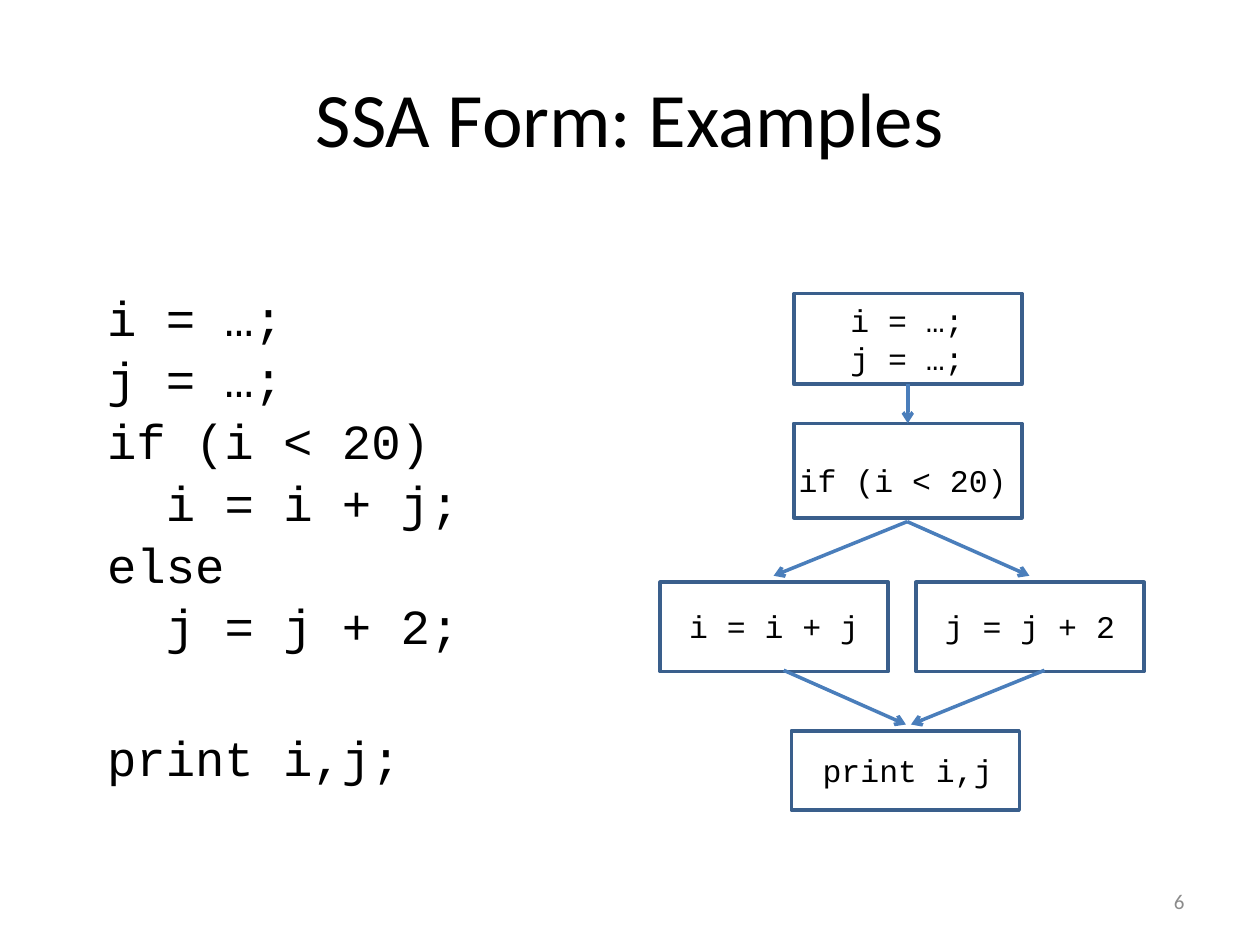
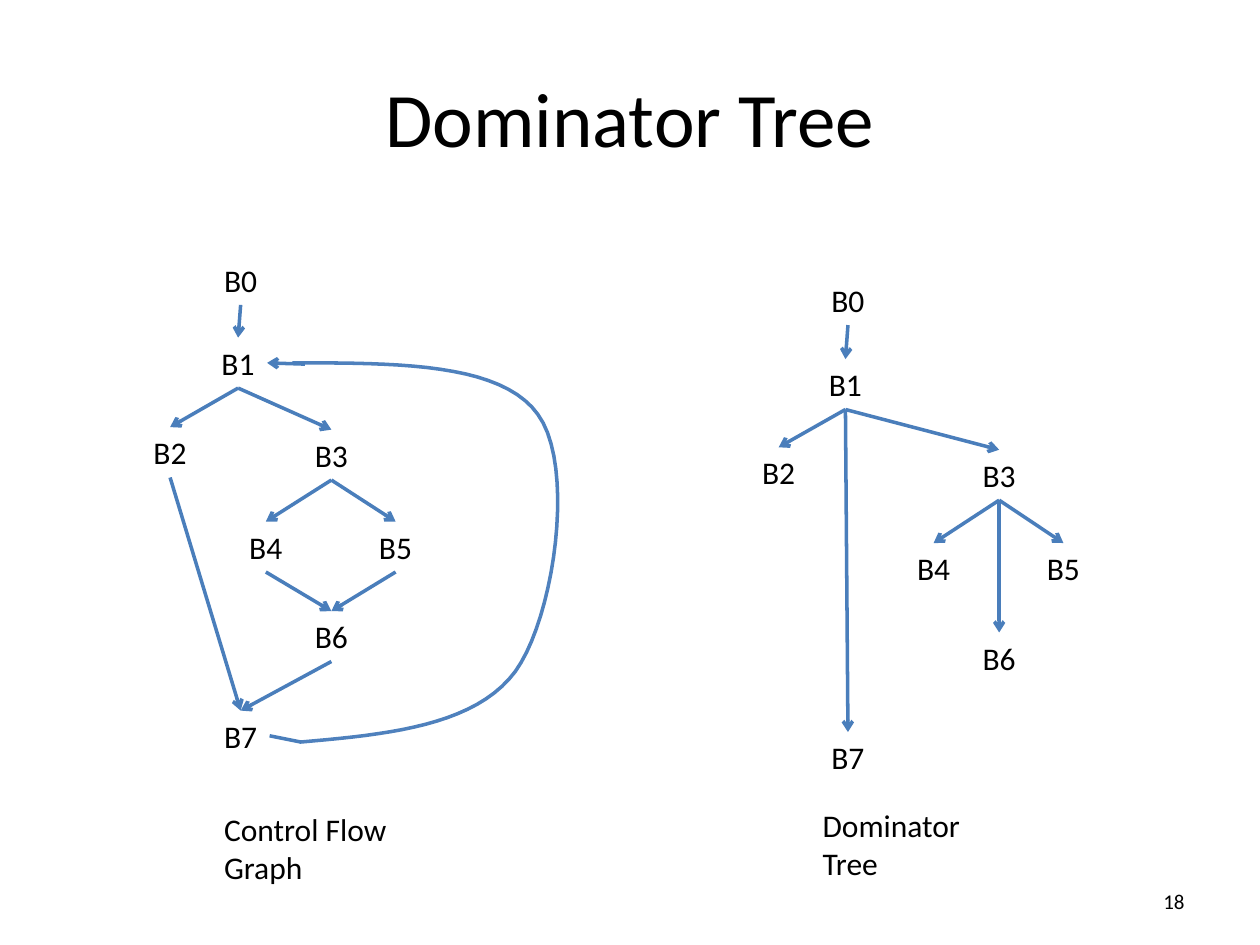
from lxml.etree import SubElement
from pptx import Presentation
from pptx.dml.color import RGBColor
from pptx.enum.shapes import MSO_CONNECTOR, MSO_SHAPE
from pptx.enum.text import MSO_ANCHOR, PP_ALIGN
from pptx.oxml.ns import qn
from pptx.util import Inches, Pt

BLACK = RGBColor(0x00, 0x00, 0x00)
GRAY = RGBColor(0x8B, 0x8B, 0x8B)
BOX_LINE = RGBColor(0x3A, 0x5F, 0x8C)
ARROW_BLUE = RGBColor(0x4A, 0x7E, 0xBB)
CURVE_BLUE = RGBColor(0x4F, 0x81, 0xBD)
SANS, MONO = "Calibri", "Courier New"
LINE_WIDTH = 2
TOP, BOTTOM, RIGHT = 0, 2, 3
TITLE_ONLY, TITLE_AND_CONTENT = 5, 1

# Code listing: text, indent in characters, space before in points
CODE = [
    ("i = …;", 0, 1.65),
    ("j = …;", 0, 1.65),
    ("if (i < 20)", 0, 1.65),
    ("i = i + j;", 2, 1.65),
    ("else", 0, 1.65),
    ("j = j + 2;", 2, 1.65),
    ("print i,j;", 0, 41.4),
]
CODE_SIZE = 28
MONO_ADVANCE = 0.6

# Basic blocks: box left, top, height; label lines, left, top, width, height
BLOCK_WIDTH = 1.81
BLOCKS = {
    "start": ((6.3, 2.33, 0.72), ["i = …;", "j = …;"], (6.65, 2.34, 1.1, 0.7)),
    "test": ((6.3, 3.36, 0.75), ["if (i < 20)"], (6.24, 3.61, 1.85, 0.4)),
    "then": ((5.24, 4.62, 0.71), ["i = i + j"], (5.37, 4.77, 1.55, 0.4)),
    "else": ((7.27, 4.62, 0.71), ["j = j + 2"], (7.4, 4.77, 1.55, 0.4)),
    "print": ((6.28, 5.8, 0.63), ["print i,j"], (6.43, 5.91, 1.55, 0.4)),
}
BRANCH_ARROWS = [
    ((7.2, 4.14), (8.17, 4.57)),
    ((7.2, 4.14), (6.14, 4.57)),
    ((6.22, 5.32), (7.19, 5.75)),
    ((8.29, 5.32), (7.23, 5.75)),
]

NODE_SIZE = (0.46, 0.4)
FLOW_GRAPH = {
    "nodes": {"B0": (1.68, 2.02), "B1": (1.66, 2.68), "B2": (1.12, 3.39),
              "B3": (2.4, 3.41), "B4": (1.88, 4.14), "B5": (2.91, 4.14),
              "B6": (2.4, 4.85), "B7": (1.68, 5.64)},
    "edges": ["B0 B1", "B1 B2", "B1 B3", "B3 B4", "B3 B5", "B4 B6", "B5 B6",
              "B6 B7", "B2 B7"],
    "caption": ("Control Flow Graph", (1.68, 6.38, 2.16, 0.4)),
}
DOMINATOR_TREE = {
    "nodes": {"B0": (6.5, 2.18), "B1": (6.48, 2.85), "B2": (5.95, 3.55),
              "B3": (7.7, 3.57), "B4": (7.18, 4.31), "B5": (8.21, 4.31),
              "B6": (7.7, 5.02), "B7": (6.5, 5.81)},
    "edges": ["B0 B1", "B1 B2", "B1 B3", "B3 B4", "B3 B5", "B3 B6", "B1 B7"],
    "caption": ("Dominator Tree", (6.43, 6.35, 1.78, 0.4)),
}
BACK_EDGE_START = (2.38, 5.89)
BACK_EDGE_CURVES = [
    ((3.08, 5.83), (3.77, 5.76), (4.09, 5.33)),
    ((4.4, 4.9), (4.57, 3.7), (4.27, 3.29)),
    ((3.98, 2.88), (3.15, 2.88), (2.32, 2.88)),
]
CURVE_STEPS = 20


def inches(values):
    return [Inches(value) for value in values]


def style_line(shape, color):
    shape.line.color.rgb = color
    shape.line.width = Pt(LINE_WIDTH)


def style_paragraph(paragraph, font=SANS, size=18, color=BLACK):
    for name, value in {"name": font, "size": Pt(size)}.items():
        setattr(paragraph.font, name, value)
    paragraph.font.color.rgb = color


def add_label(slide, lines, box, wrap=False, align=PP_ALIGN.LEFT, **style):
    label = slide.shapes.add_textbox(*inches(box))
    frame = label.text_frame
    frame.word_wrap = wrap
    frame.text = "\n".join(lines)
    for paragraph in frame.paragraphs:
        paragraph.alignment = align
        style_paragraph(paragraph, **style)
    return label


def add_line(slide, start, end, arrow=True):
    connector = slide.shapes.add_connector(
        MSO_CONNECTOR.STRAIGHT, *inches(start), *inches(end))
    style_line(connector, ARROW_BLUE)
    if arrow:
        SubElement(connector.line._get_or_add_ln(), qn("a:tailEnd"), type="arrow")
    SubElement(connector._element.spPr, qn("a:effectLst"))
    return connector


def join_down(slide, upper, lower):
    """Draw an arrow from the bottom of one shape to the top of another."""
    connector = add_line(slide, (0, 0), (1, 1))
    connector.begin_connect(upper, BOTTOM)
    connector.end_connect(lower, TOP)


def add_titled_slide(presentation, layout, title, number, number_color):
    slide = presentation.slides.add_slide(presentation.slide_layouts[layout])
    slide.shapes.title.text = title
    style_paragraph(slide.shapes.title.text_frame.paragraphs[0], size=44)
    label = add_label(slide, [number], (7.17, 6.95, 2.33, 0.4), wrap=True,
                      align=PP_ALIGN.RIGHT, size=12, color=number_color)
    label.text_frame.vertical_anchor = MSO_ANCHOR.MIDDLE
    return slide


def fill_code(body):
    body.left, body.top, body.width, body.height = inches((0.75, 2.17, 4.17, 4.5))
    frame = body.text_frame
    frame.margin_top = Inches(0.11)
    frame.text = "\n".join(text for text, _, _ in CODE)
    for paragraph, (_, indent, space) in zip(frame.paragraphs, CODE):
        style_paragraph(paragraph, font=MONO, size=CODE_SIZE)
        paragraph.space_before = Pt(space)
        properties = paragraph._p.get_or_add_pPr()
        properties.set("marL", str(Pt(indent * CODE_SIZE * MONO_ADVANCE)))
        properties.set("indent", "0")
        SubElement(properties, qn("a:buNone"))
        default_run = properties.find(qn("a:defRPr"))
        if default_run is not None:
            properties.append(default_run)


def add_block(slide, box, lines, label_box):
    left, top, height = box
    block = slide.shapes.add_shape(
        MSO_SHAPE.RECTANGLE, *inches((left, top, BLOCK_WIDTH, height)))
    block.shadow.inherit = False
    block.fill.background()
    style_line(block, BOX_LINE)
    add_label(slide, lines, label_box, font=MONO)
    return block


def add_graph(slide, graph):
    nodes = {name: add_label(slide, [name], position + NODE_SIZE)
             for name, position in graph["nodes"].items()}
    for edge in graph["edges"]:
        upper, lower = edge.split()
        join_down(slide, nodes[upper], nodes[lower])
    caption, box = graph["caption"]
    add_label(slide, [caption], box)
    return nodes


def curve_points(start, curves):
    """Return points along a chain of cubic Bézier curves."""
    points = [start]
    for first, second, end in curves:
        for step in range(1, CURVE_STEPS + 1):
            t = step / CURVE_STEPS
            weights = ((1 - t) ** 3, 3 * t * (1 - t) ** 2, 3 * t * t * (1 - t), t ** 3)
            points.append(tuple(
                sum(weight * value for weight, value in zip(weights, values))
                for values in zip(start, first, second, end)))
        start = end
    return points


def add_back_edge(slide, source, target):
    start, *points = [inches(point) for point in
                      curve_points(BACK_EDGE_START, BACK_EDGE_CURVES)]
    builder = slide.shapes.build_freeform(*start)
    builder.add_line_segments(points, close=False)
    curve = builder.convert_to_shape()
    curve.shadow.inherit = False
    curve.fill.background()
    style_line(curve, CURVE_BLUE)
    add_line(slide, (2.42, 2.89), (2.13, 2.89)).end_connect(target, RIGHT)
    add_line(slide, (2.13, 5.86), (2.39, 5.89), arrow=False).begin_connect(source, RIGHT)


def build_examples(presentation):
    slide = add_titled_slide(
        presentation, TITLE_AND_CONTENT, "SSA Form: Examples", "6", GRAY)
    fill_code(slide.placeholders[1])
    blocks = {name: add_block(slide, *parts) for name, parts in BLOCKS.items()}
    join_down(slide, blocks["start"], blocks["test"])
    for start, end in BRANCH_ARROWS:
        add_line(slide, start, end)


def build_dominators(presentation):
    slide = add_titled_slide(presentation, TITLE_ONLY, "Dominator Tree", "18", BLACK)
    nodes = add_graph(slide, FLOW_GRAPH)
    add_back_edge(slide, nodes["B7"], nodes["B1"])
    add_graph(slide, DOMINATOR_TREE)


def main():
    presentation = Presentation()
    presentation.slide_width, presentation.slide_height = inches((10, 7.5))
    build_examples(presentation)
    build_dominators(presentation)
    presentation.save("out.pptx")


if __name__ == "__main__":
    main()
